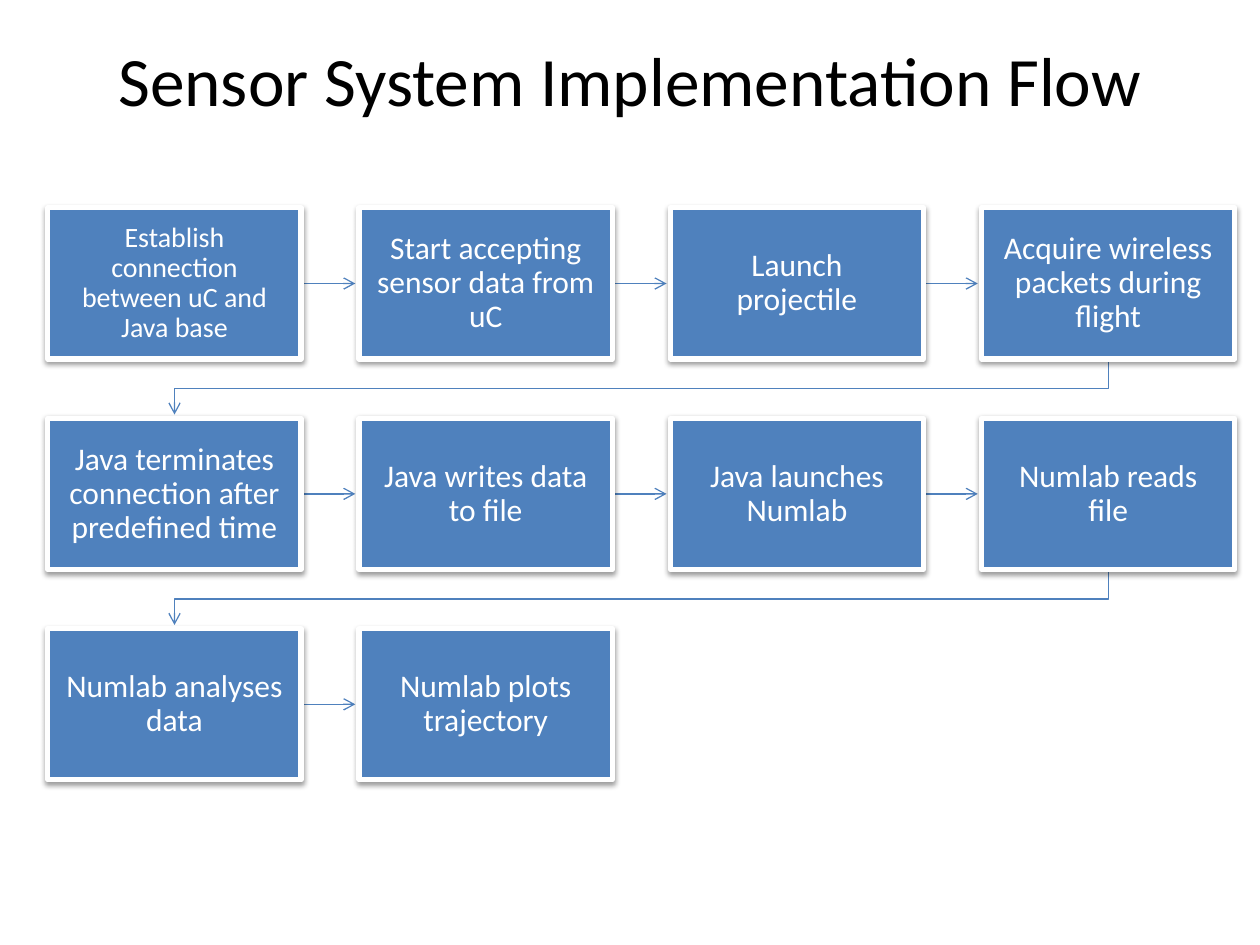
from lxml import etree
from pptx import Presentation, util as u
from pptx.dml.color import RGBColor
from pptx.enum import shapes, text
from pptx.oxml.ns import qn

TITLE = "Sensor System Implementation Flow"
STEPS = [
    "Establish connection between uC and Java base",
    "Start accepting sensor data from uC",
    "Launch projectile",
    "Acquire wireless packets during flight",
    "Java terminates connection after predefined time",
    "Java writes data to file",
    "Java launches Numlab",
    "Numlab reads file",
    "Numlab analyses data",
    "Numlab plots trajectory",
]
BLUE, WHITE, BLACK = "4F81BD", "FFFFFF", "000000"

# Grid of steps, in inches
COLUMNS = 4
LEFT, TOP = 0.38, 1.65
WIDTH, HEIGHT = 2.01, 1.2
COLUMN_STEP, ROW_STEP = 2.47, 1.67
ARROW_GAP = 0.03


def color(value):
    return RGBColor.from_string(value)


def corner(index):
    row, column = divmod(index, COLUMNS)
    return LEFT + column * COLUMN_STEP, TOP + row * ROW_STEP


def write(shape, words, size, ink, inset):
    frame = shape.text_frame
    frame.text = words
    frame.word_wrap = True
    frame.vertical_anchor = text.MSO_ANCHOR.MIDDLE
    frame.margin_left = frame.margin_right = u.Inches(inset)
    frame.margin_top = frame.margin_bottom = u.Inches(inset)
    para = frame.paragraphs[0]
    para.alignment = text.PP_ALIGN.CENTER
    font = para.runs[0].font
    font.name, font.size = "Calibri", u.Pt(size)
    font.color.rgb = color(ink)
    return para


def add_shadow(shape):
    shape.shadow.inherit = False
    effects = shape._element.spPr.find(qn("a:effectLst"))
    shadow = etree.SubElement(effects, qn("a:outerShdw"), blurRad=str(u.Pt(3.1)),
                              dist=str(u.Pt(1.6)), dir="5400000", rotWithShape="0")
    ink = etree.SubElement(shadow, qn("a:srgbClr"), val=BLACK)
    etree.SubElement(ink, qn("a:alpha"), val="38000")


def style_arrow(arrow):
    arrow.line.color.rgb = color(BLUE)
    arrow.line.width = u.Pt(0.75)
    etree.SubElement(arrow.line._get_or_add_ln(), qn("a:tailEnd"), type="arrow")
    etree.SubElement(arrow._element.spPr, qn("a:effectLst"))


def add_step(page, index, words):
    x, y = corner(index)
    box = page.shapes.add_shape(shapes.MSO_SHAPE.RECTANGLE, *map(u.Inches, (x, y, WIDTH, HEIGHT)))
    box.fill.solid()
    box.fill.fore_color.rgb = color(BLUE)
    box.line.color.rgb = color(WHITE)
    box.line.width = u.Pt(3)
    add_shadow(box)
    size, inset = (16, 0.12) if index == 0 else (18, 0.14)
    para = write(box, words, size, WHITE, inset)
    para.line_spacing = 0.9


def add_arrow(page, index):
    x, y = corner(index)
    next_x, next_y = corner(index + 1)
    if next_y == y:
        middle = y + HEIGHT / 2
        ends = (x + WIDTH, middle, next_x - ARROW_GAP, middle)
        arrow = page.shapes.add_connector(shapes.MSO_CONNECTOR.STRAIGHT, *map(u.Inches, ends))
    else:
        # Down, back to the first column, down to the next row
        start, end = x + WIDTH / 2, next_x + WIDTH / 2
        bend = (y + HEIGHT + next_y) / 2
        points = [(start, y + HEIGHT), (start, bend), (end, bend), (end, next_y - ARROW_GAP)]
        points = [(u.Inches(a), u.Inches(b)) for a, b in points]
        builder = page.shapes.build_freeform(*points[0])
        builder.add_line_segments(points[1:], close=False)
        arrow = builder.convert_to_shape()
        arrow.fill.background()
    style_arrow(arrow)


deck = Presentation()
deck.slide_width, deck.slide_height = u.Inches(10), u.Inches(7.5)
page = deck.slides.add_slide(deck.slide_layouts[6])

# Title
title = page.shapes.add_textbox(*map(u.Inches, (0.5, 0, 9, 1.25)))
write(title, TITLE, 39.6, BLACK, 0.05)

# Steps, each with an arrow to the next
for index, words in enumerate(STEPS):
    if index + 1 < len(STEPS):
        add_arrow(page, index)
    add_step(page, index, words)

deck.save("out.pptx")
